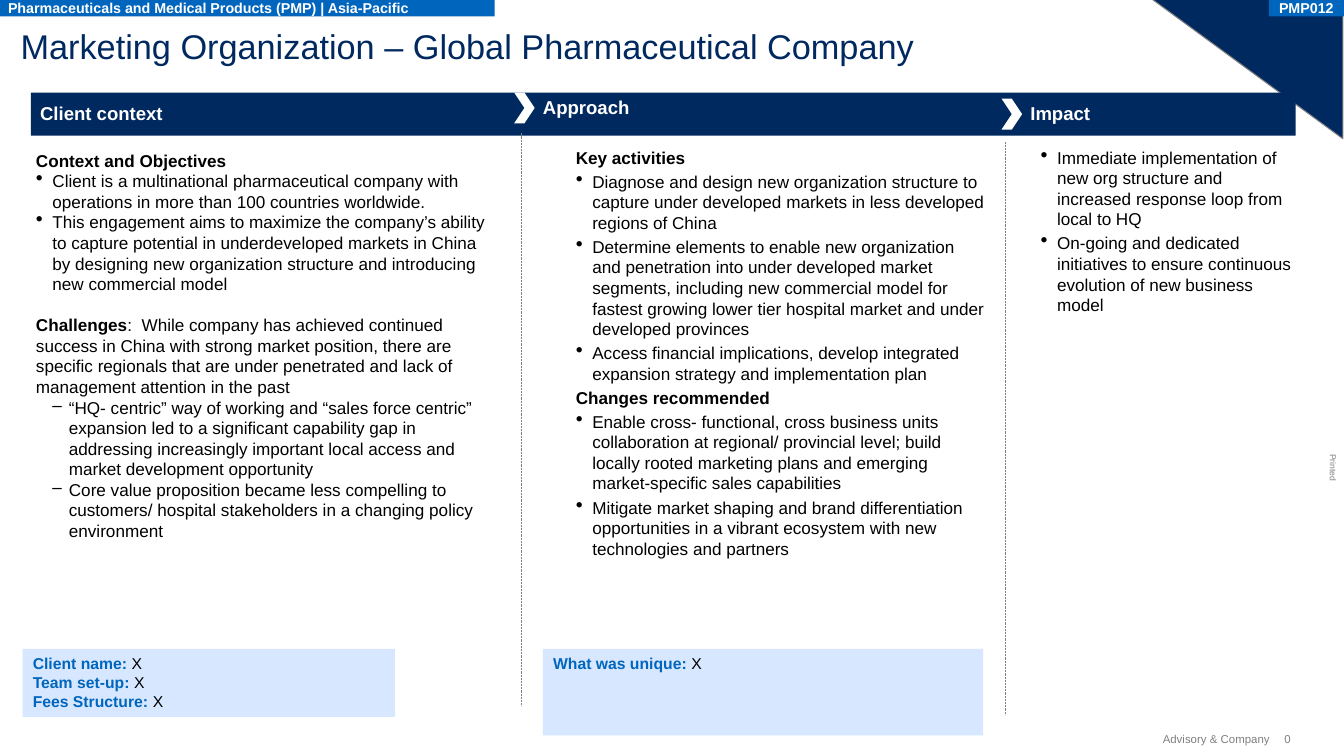
from lxml import etree
from pptx import Presentation
from pptx.dml.color import RGBColor
from pptx.enum.dml import MSO_LINE
from pptx.enum.shapes import MSO_CONNECTOR, MSO_SHAPE
from pptx.enum.text import MSO_ANCHOR, PP_ALIGN
from pptx.oxml.ns import qn
from pptx.util import Inches, Pt

RECT, CHEVRON, TRIANGLE = MSO_SHAPE.RECTANGLE, MSO_SHAPE.CHEVRON, MSO_SHAPE.ISOSCELES_TRIANGLE
STRAIGHT, DOTTED = MSO_CONNECTOR.STRAIGHT, MSO_LINE.ROUND_DOT
TOP, MIDDLE, BOTTOM = MSO_ANCHOR.TOP, MSO_ANCHOR.MIDDLE, MSO_ANCHOR.BOTTOM
LEFT, RIGHT = PP_ALIGN.LEFT, PP_ALIGN.RIGHT

NAVY = RGBColor(0x00, 0x29, 0x60)
BLUE = RGBColor(0x00, 0x65, 0xBD)
PALE = RGBColor(0xD6, 0xE7, 0xFF)
GREY = RGBColor(0x80, 0x80, 0x80)
WHITE = RGBColor(0xFF, 0xFF, 0xFF)
BLACK = RGBColor(0x00, 0x00, 0x00)

FONT = "Arial"
STEP = 0.16
DOT, DASH = ("•", 1), ("–", 2)

# Each paragraph: bullet, bold lead, plain text, space before in points
CONTEXT = [
    (None, "Context and Objectives", "", 0),
    (DOT, "", "Client is a multinational pharmaceutical company with operations in more than "
     "100 countries worldwide.", 0),
    (DOT, "", "This engagement aims to maximize the company’s ability to capture potential in "
     "underdeveloped markets in China by designing new organization structure and introducing "
     "new commercial model", 0),
    (None, "Challenges", ":  While company has achieved continued success in China with strong "
     "market position, there are specific regionals that are under penetrated and lack of "
     "management attention in the past", 14.4),
    (DASH, "", "“HQ- centric” way of working and “sales force centric” expansion led to a "
     "significant capability gap in addressing increasingly important local access and market "
     "development opportunity", 0),
    (DASH, "", "Core value proposition became less compelling to customers/ hospital "
     "stakeholders in a changing policy environment", 0),
]
APPROACH = [
    (None, "Key activities", "", 0),
    (DOT, "", "Diagnose and design new organization structure to capture under developed markets "
     "in less developed regions of China", 2.4),
    (DOT, "", "Determine elements to enable new organization and penetration into under developed "
     "market segments, including new commercial model for fastest growing lower tier hospital "
     "market and under developed provinces", 2.4),
    (DOT, "", "Access financial implications, develop integrated expansion strategy and "
     "implementation plan", 2.4),
    (None, "Changes recommended", "", 2.4),
    (DOT, "", "Enable cross- functional, cross business units collaboration at regional/ "
     "provincial level; build locally rooted marketing plans and emerging market-specific sales "
     "capabilities", 2.4),
    (DOT, "", "Mitigate market shaping and brand differentiation opportunities in a vibrant "
     "ecosystem with new technologies and partners", 2.4),
]
IMPACT = [
    (DOT, "", "Immediate implementation of new org structure and increased response loop from "
     "local to HQ", 0),
    (DOT, "", "On-going and dedicated initiatives to ensure continuous evolution of new business "
     "model", 2.4),
]


def style(font, size, color, bold=False):
    font.name, font.size, font.bold = FONT, Pt(size), bold
    font.color.rgb = color


def add_shape(slide, kind, box, fill):
    shape = slide.shapes.add_shape(kind, *map(Inches, box))
    shape.shadow.inherit = False
    shape.fill.solid()
    shape.fill.fore_color.rgb = fill
    shape.line.fill.background()
    return shape


def add_box(slide, box, anchor=TOP, wrap=True):
    """Add an empty text box without margins."""
    text_box = slide.shapes.add_textbox(*map(Inches, box))
    frame = text_box.text_frame
    frame.margin_left = frame.margin_right = frame.margin_top = frame.margin_bottom = 0
    frame.vertical_anchor, frame.word_wrap = anchor, wrap
    return text_box


def put_line(frame, text, size, color, bold=False, align=LEFT):
    frame.text = text
    para = frame.paragraphs[0]
    para.alignment = align
    style(para.runs[0].font, size, color, bold)


def add_label(slide, box, text, size, color, bold=False, align=LEFT, anchor=TOP, wrap=True):
    text_box = add_box(slide, box, anchor, wrap)
    put_line(text_box.text_frame, text, size, color, bold, align)
    return text_box


def add_tag(slide, box, text):
    frame = add_shape(slide, RECT, box, BLUE).text_frame
    frame.vertical_anchor, frame.word_wrap = MIDDLE, False
    put_line(frame, text, 10, WHITE, True)


def set_bullet(para, mark, level):
    props = para._p.get_or_add_pPr()
    props.set("marL", str(Inches(STEP * level)))
    props.set("indent", str(-Inches(STEP)))
    if mark == "•":
        etree.SubElement(props, qn("a:buSzPct")).set("val", "120000")
    etree.SubElement(props, qn("a:buChar")).set("char", mark)


def add_runs(para, size, lead, lead_color, plain):
    """Write a bold lead followed by plain black text."""
    for text, color, bold in ((lead, lead_color, True), (plain, BLACK, False)):
        if text:
            run = para.add_run()
            run.text = text
            style(run.font, size, color, bold)


def next_para(frame, index):
    return frame.add_paragraph() if index else frame.paragraphs[0]


def add_body(slide, box, items):
    frame = add_box(slide, box).text_frame
    for index, (bullet, lead, plain, gap) in enumerate(items):
        para = next_para(frame, index)
        if bullet:
            set_bullet(para, *bullet)
        para.space_before = Pt(gap)
        add_runs(para, 12, lead, BLACK, plain)


def add_facts(slide, box, names):
    frame = add_shape(slide, RECT, box, PALE).text_frame
    frame.vertical_anchor, frame.word_wrap = TOP, True
    for index, name in enumerate(names):
        para = next_para(frame, index)
        para.alignment = LEFT
        add_runs(para, 11, name + ": ", BLUE, "X")


def add_divider(slide, x, top):
    line = slide.shapes.add_connector(
        STRAIGHT, Inches(x), Inches(top), Inches(x), Inches(top + 5.57))
    line.line.color.rgb = GREY
    line.line.width = Pt(0.5)
    line.line.dash_style = DOTTED
    etree.SubElement(line._element.spPr, qn("a:effectLst"))


def add_corner(slide):
    corner = add_shape(slide, TRIANGLE, (11.2, -0.01, 1.86, 1.36), NAVY)
    corner.adjustments[0] = 1
    corner._element.spPr.get_or_add_xfrm().set("flipV", "1")
    corner.line.color.rgb = GREY
    corner.line.width = Pt(0.75)


def main():
    prs = Presentation()
    prs.slide_width, prs.slide_height = Inches(13.07), Inches(7.35)
    slide = prs.slides.add_slide(prs.slide_layouts[6])

    printed = add_label(slide, (12.83, 4.5, 0.27, 0.1), "Printed", 6, GREY, wrap=False)
    printed.rotation = 90
    add_label(slide, (12.49, 7.12, 0.14, 0.13), "0", 8, GREY, anchor=MIDDLE, wrap=False)
    add_label(slide, (11.24, 7.12, 1.11, 0.13), "Advisory & Company", 8, GREY,
              align=RIGHT, anchor=MIDDLE, wrap=False)
    add_corner(slide)
    add_label(slide, (0.2, 0.25, 11.17, 0.4),
              "Marketing Organization – Global Pharmaceutical Company", 24, NAVY)

    add_body(slide, (0.35, 1.46, 4.41, 3.84), CONTEXT)
    add_body(slide, (10.12, 1.43, 2.48, 1.66), IMPACT)
    add_body(slide, (5.6, 1.43, 4.01, 4.08), APPROACH)

    add_tag(slide, (12.34, 0, 0.73, 0.16), "PMP012")
    add_tag(slide, (-0.02, 0, 4.83, 0.16),
            "Pharmaceuticals and Medical Products (PMP) | Asia-Pacific")

    add_shape(slide, RECT, (0.3, 0.9, 12.3, 0.42), NAVY)
    for x, y, width, text in ((0.39, 0.99, 2.91, "Client context"),
                              (5.28, 0.93, 3.49, "Approach"),
                              (10.02, 0.99, 3.05, "Impact")):
        add_label(slide, (x, y, width, 0.22), text, 13, WHITE, True, anchor=BOTTOM)
    for x, y in ((5, 0.9), (9.74, 0.96)):
        add_shape(slide, CHEVRON, (x, y, 0.2, 0.3), WHITE)
    for x, top in ((5.07, 1.29), (9.78, 1.38)):
        add_divider(slide, x, top)

    add_facts(slide, (0.22, 6.31, 3.62, 0.66), ("Client name", "Team set-up", "Fees Structure"))
    add_facts(slide, (5.28, 6.31, 4.28, 0.84), ("What was unique",))
    prs.save("out.pptx")


if __name__ == "__main__":
    main()
